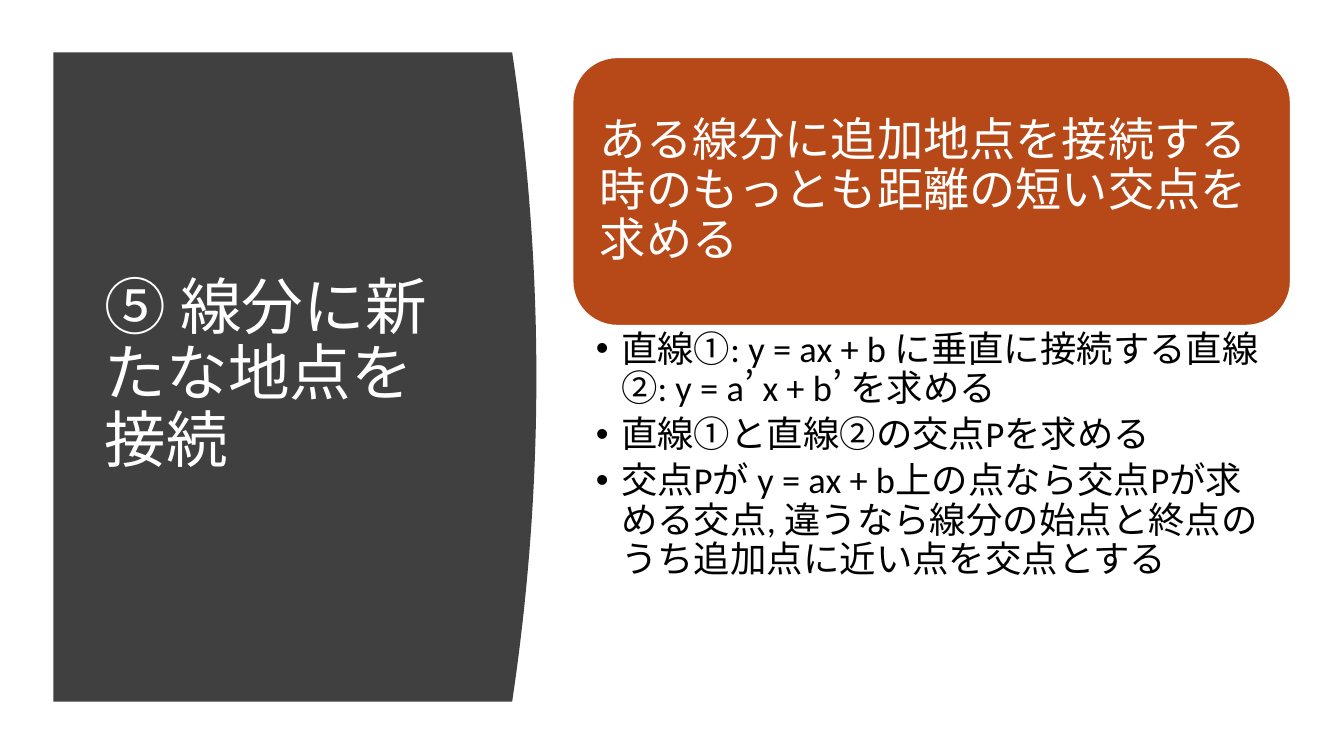
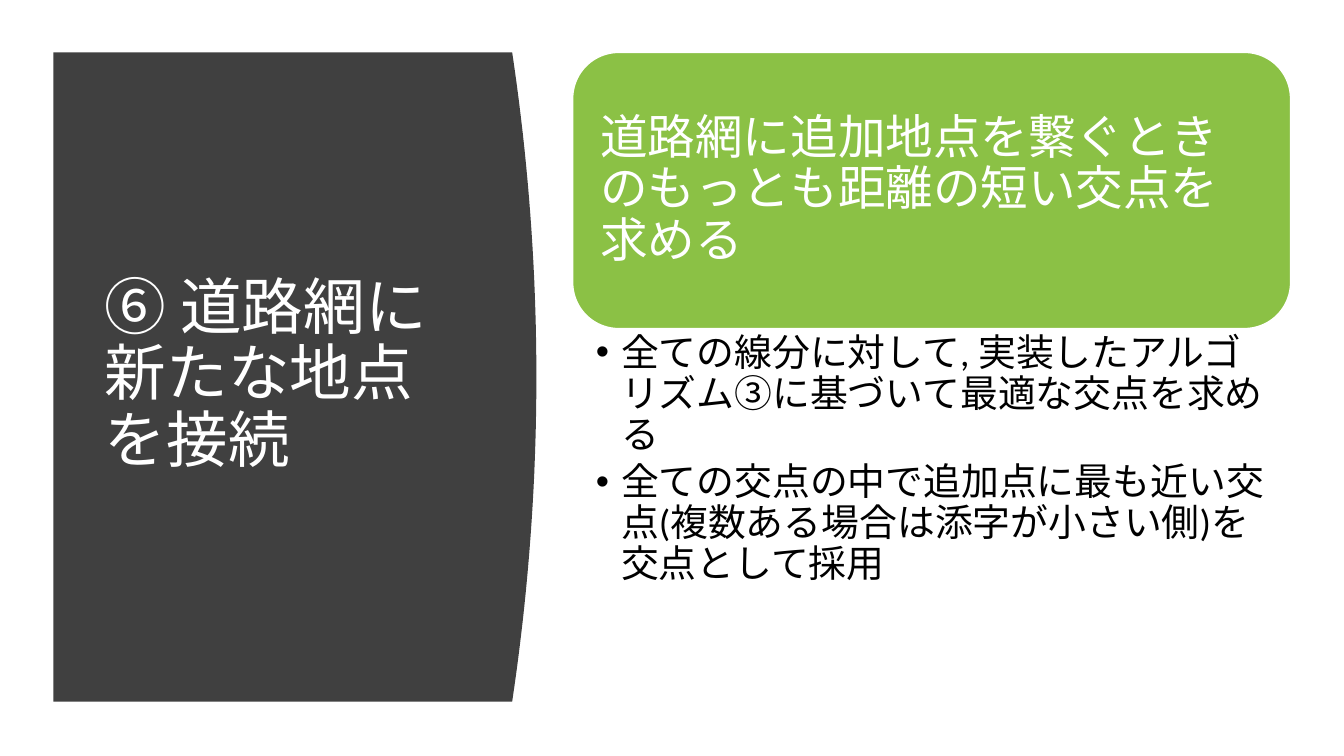
"""Build two slides on connecting a new point to a segment and to a road network."""
import pptx
import pptx.util
import pptx.dml.color
import pptx.enum.lang
import pptx.enum.shapes
import pptx.enum.text

Inches = pptx.util.Inches
Pt = pptx.util.Pt

FONT = "Calibri"
COLORS = {"panel": "404040", "white": "FFFFFF", "black": "000000",
          "orange": "B74919", "green": "8BC145"}

SLIDES = [
    {"title": "⑤ 線分に新たな地点を接続",
     "goal": "ある線分に追加地点を接続する時のもっとも距離の短い交点を求める",
     "steps": ["直線①: y = ax + b に垂直に接続する直線②: y = a’ x + b’ を求める",
               "直線①と直線②の交点Pを求める",
               "交点Pが y = ax + b上の点なら交点Pが求める交点, "
               "違うなら線分の始点と終点のうち追加点に近い点を交点とする"],
     "color": "orange", "top": 0.57, "goal_height": 2.66, "steps_height": 3.66,
     "goal_size": 33, "step_size": 26},
    {"title": "⑥ 道路網に新たな地点を接続",
     "goal": "道路網に追加地点を繋ぐときのもっとも距離の短い交点を求める",
     "steps": ["全ての線分に対して, 実装したアルゴリズム③に基づいて最適な交点を求める",
               "全ての交点の中で追加点に最も近い交点(複数ある場合は添字が小さい側)を交点として採用"],
     "color": "green", "top": 0.52, "goal_height": 2.74, "steps_height": 3.69,
     "goal_size": 34, "step_size": 27},
]

PANEL_LEFT, PANEL_TOP, PANEL_EDGE, PANEL_HEIGHT = 0.53, 0.52, 5.08, 6.44
BULGE, CURVE_STEPS = 0.24, 40
COLUMN_LEFT, COLUMN_WIDTH = 5.68, 7.12


def rgb(name):
    return pptx.dml.color.RGBColor.from_string(COLORS[name])


def place(sp, left, top, width, height):
    sp.left, sp.top, sp.width, sp.height = map(Inches, (left, top, width, height))


def set_text(sp, lines, size, color, anchor, insets):
    tf = sp.text_frame
    tf.text = "\n".join(lines)
    tf.word_wrap = True
    tf.auto_size = pptx.enum.text.MSO_AUTO_SIZE.NONE
    tf.vertical_anchor = anchor
    tf.margin_left, tf.margin_top, tf.margin_right, tf.margin_bottom = map(Inches, insets)
    for p in tf.paragraphs:
        p.alignment = pptx.enum.text.PP_ALIGN.LEFT
        p.line_spacing = 0.9
        p.space_before = Pt(0)
        for r in p.runs:
            r.font.name = FONT
            r.font.size = Pt(size)
            r.font.color.rgb = rgb(color)
            r.font.language_id = pptx.enum.lang.MSO_LANGUAGE_ID.JAPANESE


def add_panel(slide):
    curve = []
    for i in range(CURVE_STEPS + 1):
        t = i / CURVE_STEPS
        curve.append((Inches(PANEL_EDGE + BULGE * 4 * t * (1 - t)),
                      Inches(PANEL_TOP + PANEL_HEIGHT * t)))
    builder = slide.shapes.build_freeform(Inches(PANEL_LEFT), Inches(PANEL_TOP))
    builder.add_line_segments(
        curve + [(Inches(PANEL_LEFT), Inches(PANEL_TOP + PANEL_HEIGHT))], close=True)
    sp = builder.convert_to_shape()
    sp.shadow.inherit = False
    sp.fill.solid()
    sp.fill.fore_color.rgb = rgb("panel")
    sp.line.fill.background()
    slide.shapes._spTree.insert(2, sp._element)


def add_goal(slide, item):
    sp = slide.shapes.add_shape(
        pptx.enum.shapes.MSO_SHAPE.ROUNDED_RECTANGLE, 0, 0, 0, 0)
    place(sp, COLUMN_LEFT, item["top"], COLUMN_WIDTH, item["goal_height"])
    sp.shadow.inherit = False
    sp.fill.solid()
    sp.fill.fore_color.rgb = rgb(item["color"])
    sp.line.color.rgb = rgb("white")
    sp.line.width = Pt(1)
    set_text(sp, [item["goal"]], item["goal_size"], "white",
             pptx.enum.text.MSO_ANCHOR.MIDDLE, (0.14,) * 4)


def fill_steps(sp, item):
    place(sp, COLUMN_LEFT, item["top"] + item["goal_height"],
          COLUMN_WIDTH, item["steps_height"])
    set_text(sp, item["steps"], item["step_size"], "black",
             pptx.enum.text.MSO_ANCHOR.TOP, (0.23, 0.05, 0.26, 0.05))
    for p in sp.text_frame.paragraphs:
        p.space_after = Pt(round(item["step_size"] * 0.2))
        pPr = p._p.get_or_add_pPr()
        pPr.set("marL", str(Inches(0.25)))
        pPr.set("indent", str(-Inches(0.25)))


def add_slide(prs, item):
    slide = prs.slides.add_slide(prs.slide_layouts[1])
    title, body = slide.placeholders
    add_panel(slide)
    place(title, 0.94, 1.11, 3.74, 5.24)
    set_text(title, [item["title"]], 44, "white",
             pptx.enum.text.MSO_ANCHOR.MIDDLE, (0.1, 0.05, 0.1, 0.05))
    add_goal(slide, item)
    fill_steps(body, item)


def main():
    prs = pptx.Presentation()
    prs.slide_width, prs.slide_height = Inches(13.33), Inches(7.5)
    for item in SLIDES:
        add_slide(prs, item)
    prs.save("out.pptx")


if __name__ == "__main__":
    main()
